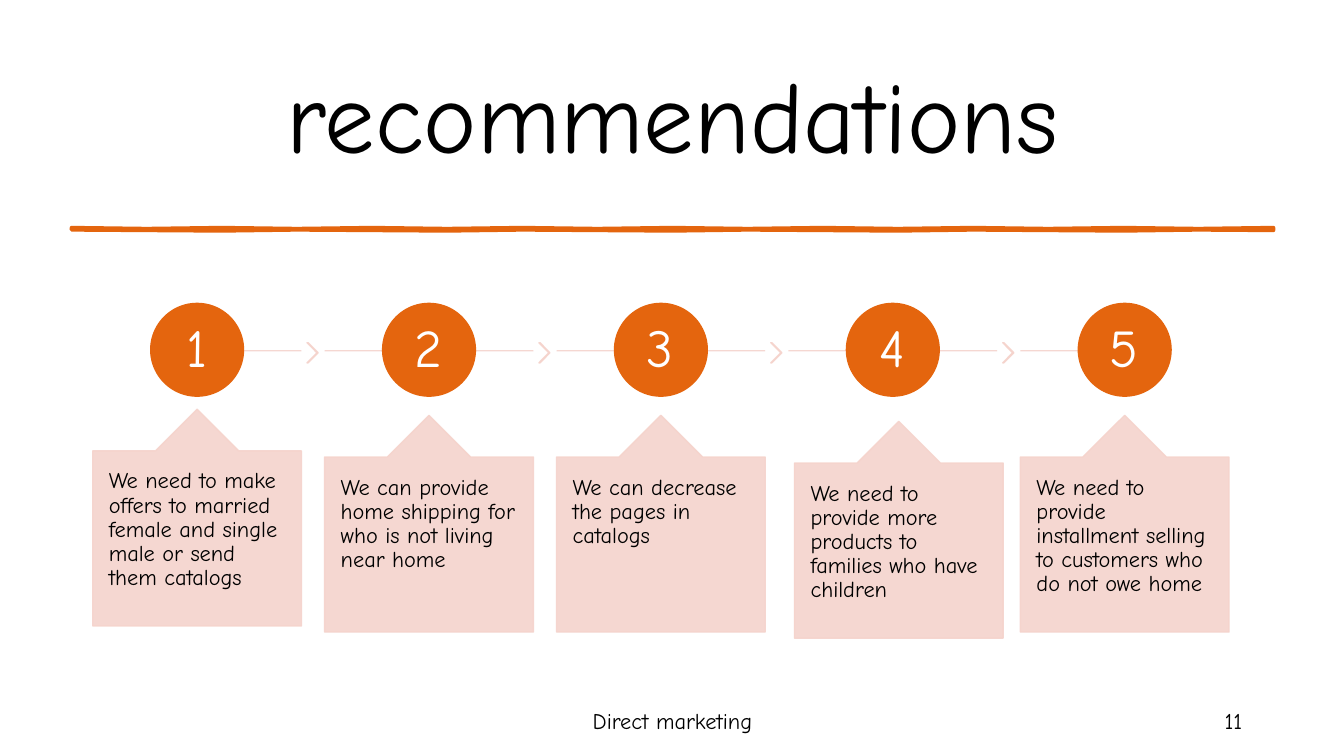
from lxml.etree import SubElement
from pptx import Presentation
from pptx.dml.color import RGBColor
from pptx.enum.shapes import MSO_CONNECTOR, MSO_SHAPE
from pptx.enum.text import MSO_ANCHOR, PP_ALIGN
from pptx.oxml.ns import qn
from pptx.util import Emu, Pt

PX = 9144  # one px is a hundredth of an inch
FONT = "Comic Neue"
ORANGE = RGBColor(0xE4, 0x65, 0x0E)
PINK = RGBColor(0xF5, 0xD3, 0xCC)
BLACK = RGBColor(0x00, 0x00, 0x00)
WHITE = RGBColor(0xFF, 0xFF, 0xFF)

STEP_PITCH = 230
CARD_WIDTH = 207
CIRCLE_SIZE = 92
RULE_SEGMENTS = 16
# Text, then the shift of the callout to the right and down
STEPS = [
    ("We need to make offers to married female and single male or send them catalogs", 0, 0),
    ("We can provide home shipping for who is not living near home", 0, 6),
    ("We can decrease the pages in catalogs", 0, 6),
    ("We need to provide more products to families who have children", 6, 12),
    ("We need to provide installment selling to customers who do not owe home", 0, 6),
]


def px(*lengths):
    return [Emu(round(length * PX)) for length in lengths]


def add_text(slide, box, text, size, color=BLACK, align=PP_ALIGN.CENTER,
             anchor=MSO_ANCHOR.MIDDLE, inset=(10, 5), spacing=1.0):
    frame = slide.shapes.add_textbox(*px(*box)).text_frame
    across, down = px(*inset)
    frame_format = {
        "word_wrap": True, "vertical_anchor": anchor,
        "margin_left": across, "margin_right": across,
        "margin_top": down, "margin_bottom": down,
    }
    for name, value in frame_format.items():
        setattr(frame, name, value)
    paragraph = frame.paragraphs[0]
    paragraph.alignment = align
    paragraph.line_spacing = spacing
    run = paragraph.add_run()
    run.text = text
    run.font.name = FONT
    run.font.size = Pt(size)
    run.font.color.rgb = color


def set_alpha(part, percent):
    for color in part._element.spPr.iter(qn("a:srgbClr")):
        SubElement(color, qn("a:alpha")).set("val", str(percent * 1000))


def paint(part, color, line_width=1, alpha=100):
    part.shadow.inherit = False
    part.fill.solid()
    part.fill.fore_color.rgb = color
    part.line.color.rgb = color
    part.line.width = Pt(line_width)
    if alpha < 100:
        set_alpha(part, alpha)


def add_brush_rule(slide, left, top, width, height):
    """Hand-drawn stroke: two edges that waver by one px."""
    xs = [left + width * i / RULE_SEGMENTS for i in range(RULE_SEGMENTS + 1)]
    upper = [(x, top + i % 2) for i, x in enumerate(xs)]
    lower = [(x, top + height + i % 3 / 2) for i, x in enumerate(xs)]
    outline = [px(*point) for point in upper + lower[::-1]]
    builder = slide.shapes.build_freeform(*outline[0], scale=1.0)
    builder.add_line_segments(outline[1:], close=True)
    paint(builder.convert_to_shape(), ORANGE, 2.75)


def add_track(slide, start, end, y):
    track = slide.shapes.add_connector(MSO_CONNECTOR.STRAIGHT, *px(start, y, end, y))
    track.line.color.rgb = PINK
    track.line.width = Pt(1)
    set_alpha(track, 90)
    SubElement(track._element.spPr, qn("a:effectLst"))


def add_step(slide, left, top, index):
    text, shift_x, shift_y = STEPS[index]
    first, last = index == 0, index == len(STEPS) - 1
    center = left + CARD_WIDTH / 2

    # Track behind the number and arrow to the next step
    add_track(slide, center + 11 if first else left,
              center if last else left + CARD_WIDTH, top + 47)
    if not last:
        arrow = slide.shapes.add_shape(MSO_SHAPE.CHEVRON, *px(left + 212.5, top + 39, 11, 20))
        arrow.adjustments[0] = 0.9
        paint(arrow, PINK, alpha=90)

    # Numbered circle
    circle_left = center - CIRCLE_SIZE / 2
    circle = slide.shapes.add_shape(
        MSO_SHAPE.OVAL, *px(circle_left, top, CIRCLE_SIZE, CIRCLE_SIZE))
    paint(circle, ORANGE)
    add_text(slide, (circle_left + 13, top + 14, 65, 65), str(index + 1), 38, WHITE,
             inset=(4, 4), spacing=0.9)

    # Callout pointing up at the circle
    card_left, card_top = left + shift_x, top + 105 + shift_y
    callout = slide.shapes.add_shape(
        MSO_SHAPE.UP_ARROW_CALLOUT, *px(card_left, card_top, CARD_WIDTH, 215))
    for position, value in enumerate((0.5, 0.2, 0.2, 1)):
        callout.adjustments[position] = value
    paint(callout, PINK, alpha=90)
    add_text(slide, (card_left, card_top + 42, CARD_WIDTH, 174), text, 16,
             align=PP_ALIGN.LEFT, anchor=MSO_ANCHOR.TOP, inset=(16, 18), spacing=0.9)


def add_steps(slide, left, top):
    for index in range(len(STEPS)):
        add_step(slide, left + index * STEP_PITCH, top, index)


def add_footer(slide, top, height):
    add_text(slide, (442, top, 450, height), "Direct marketing", 16)
    add_text(slide, (942, top, 300, height), "11", 16, align=PP_ALIGN.RIGHT)


def main():
    deck = Presentation()
    deck.slide_width, deck.slide_height = px(1333, 750)
    slide = deck.slides.add_slide(deck.slide_layouts[6])
    add_brush_rule(slide, 71, 226, 1192, 2)
    add_text(slide, (92, 40, 1150, 145), "recommendations", 72)
    add_footer(slide, 695, 40)
    add_steps(slide, 92, 301)
    deck.save("out.pptx")


if __name__ == "__main__":
    main()
